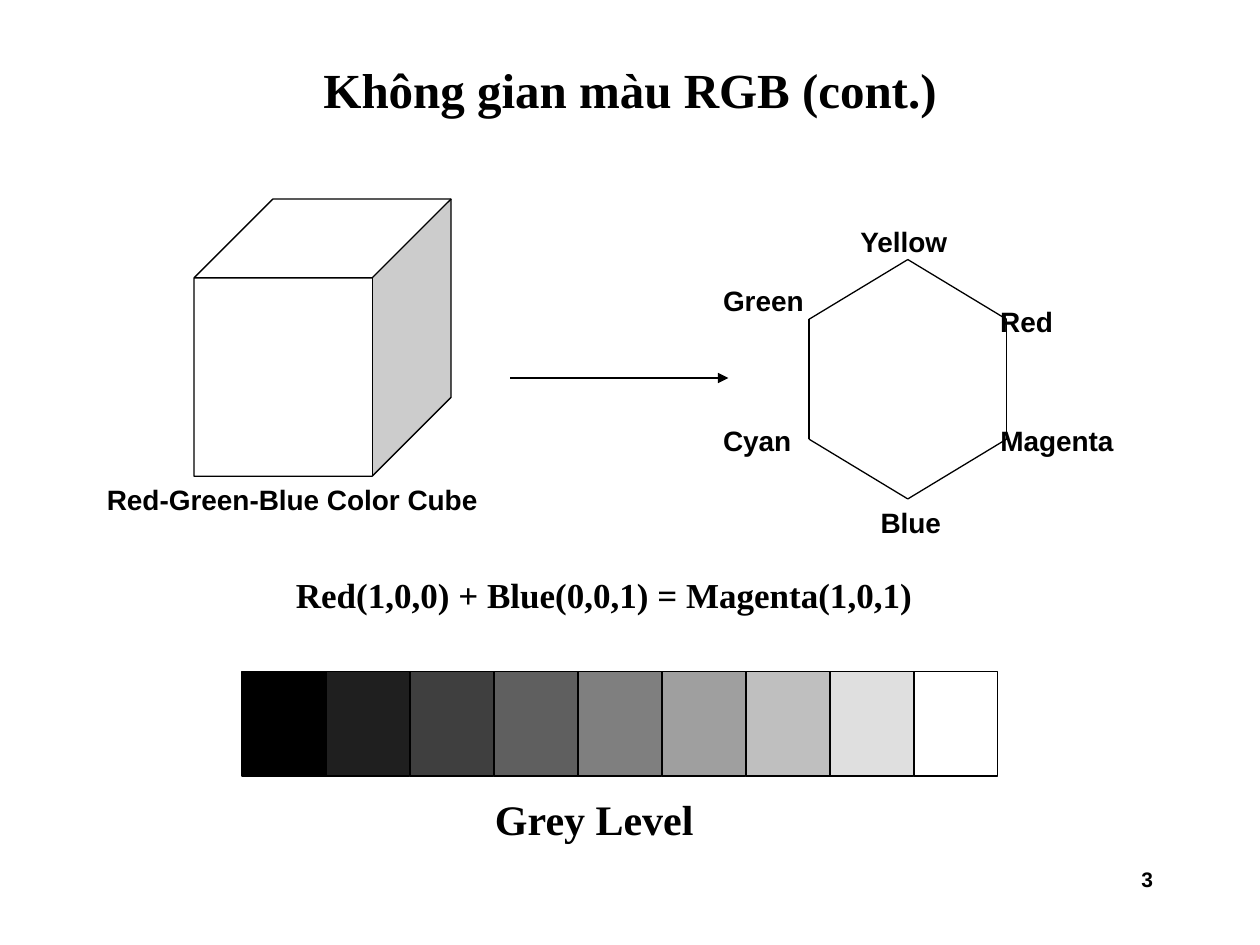
from itertools import pairwise

from pptx import Presentation
from pptx.dml.color import RGBColor
from pptx.enum.shapes import MSO_CONNECTOR, MSO_SHAPE
from pptx.enum.text import MSO_ANCHOR, PP_ALIGN
from pptx.oxml.ns import qn
from pptx.util import Inches, Pt
from lxml import etree

COLORS = {"ink": "000000", "paper": "FFFFFF"}
SANS, SERIF = "Arial", "Times New Roman"


def color(name):
    return RGBColor.from_string(COLORS[name])


def write(shape, text, size, font, align=PP_ALIGN.LEFT, anchor=MSO_ANCHOR.TOP):
    frame = shape.text_frame
    frame.word_wrap = True
    frame.vertical_anchor = anchor
    para = frame.paragraphs[0]
    para.text = text
    para.alignment = align
    para.font.name = font
    para.font.size = Pt(size)
    para.font.bold = True
    para.font.color.rgb = color("ink")


def add_text(page, box, text, size, font, align=PP_ALIGN.LEFT):
    shape = page.shapes.add_textbox(*map(Inches, box))
    write(shape, text, size, font, align)
    return shape


def add_outlined(page, kind, box, fill):
    shape = page.shapes.add_shape(kind, *map(Inches, box))
    shape.shadow.inherit = False
    shape.fill.solid()
    shape.fill.fore_color.rgb = fill
    shape.line.color.rgb = color("ink")
    shape.line.width = Pt(0.75)
    return shape


def add_line(page, start, end, arrow=False):
    line = page.shapes.add_connector(MSO_CONNECTOR.STRAIGHT, *map(Inches, (*start, *end)))
    line.line.color.rgb = color("ink")
    line.line.width = Pt(0.75)
    if arrow:
        etree.SubElement(line.line._get_or_add_ln(), qn("a:tailEnd"), type="triangle")
    etree.SubElement(line._element.spPr, qn("a:effectLst"))


def add_title(page, box, text):
    title = page.shapes.title
    title.left, title.top, title.width, title.height = map(Inches, box)
    write(title, text, 28, SERIF, PP_ALIGN.CENTER, MSO_ANCHOR.MIDDLE)


def add_cube(page, box):
    left, top, width, height = box
    cube = add_outlined(page, MSO_SHAPE.CUBE, box, color("paper"))
    cube.adjustments[0] = 0.307
    add_text(page, (left - 0.79, top + height, 3.93, 0.46),
             "Red-Green-Blue Color Cube", 16, SANS)


def add_hexagon(page, box):
    left, top, width, height = box
    # Color names, placed from the corner of the hexagon's box
    labels = [
        ("Yellow", 0.31, -0.33, 1.26),
        ("Red", 1.42, 0.31, 0.94),
        ("Green", -0.78, 0.14, 0.94),
        ("Cyan", -0.78, 1.25, 0.94),
        ("Magenta", 1.42, 1.25, 1.41),
        ("Blue", 0.47, 1.9, 0.95),
    ]
    for name, across, down, label_width in labels:
        label = add_text(page, (left + across, top + down, label_width, 0.47), name, 16, SANS)
        label.fill.solid()
        label.fill.fore_color.rgb = color("paper")

    # Six sides, clockwise from the top corner
    middle, right, bottom = left + width / 2, left + width, top + height
    upper, lower = top + height / 4, top + height * 3 / 4
    corners = [(middle, top), (right, upper), (right, lower),
               (middle, bottom), (left, lower), (left, upper)]
    for start, end in pairwise(corners + corners[:1]):
        add_line(page, start, end)


def add_grey_scale(page, box, steps=9):
    left, top, width, height = box
    step_width = width / steps
    for step in range(steps):
        level = max(0, step * 32 - 1)
        add_outlined(page, MSO_SHAPE.RECTANGLE,
                     (left + step * step_width, top, step_width, height),
                     RGBColor(level, level, level))
    add_text(page, (left + 1.91, top + height + 0.09, 2.75, 0.5), "Grey Level", 24, SERIF)


def main():
    deck = Presentation()
    deck.slide_width, deck.slide_height = Inches(10), Inches(7.5)
    page = deck.slides.add_slide(deck.slide_layouts[5])

    add_title(page, (0.75, 0.33, 8.5, 0.75), "Không gian màu RGB (cont.)")

    # Cube seen along its diagonal becomes a hexagon
    add_hexagon(page, (6.42, 2.06, 1.57, 1.9))
    add_cube(page, (1.54, 1.58, 2.04, 2.2))
    add_line(page, (4.05, 3), (5.78, 3), arrow=True)

    # Mixing example
    add_text(page, (2.25, 4.5, 6.08, 0.44),
             "Red(1,0,0) + Blue(0,0,1) = Magenta(1,0,1)", 20, SERIF)

    add_grey_scale(page, (1.92, 5.33, 6, 0.83))

    # Page number
    add_text(page, (7.17, 6.83, 2.08, 0.5), "3", 12, SANS, PP_ALIGN.RIGHT)
    deck.save("out.pptx")


if __name__ == "__main__":
    main()
